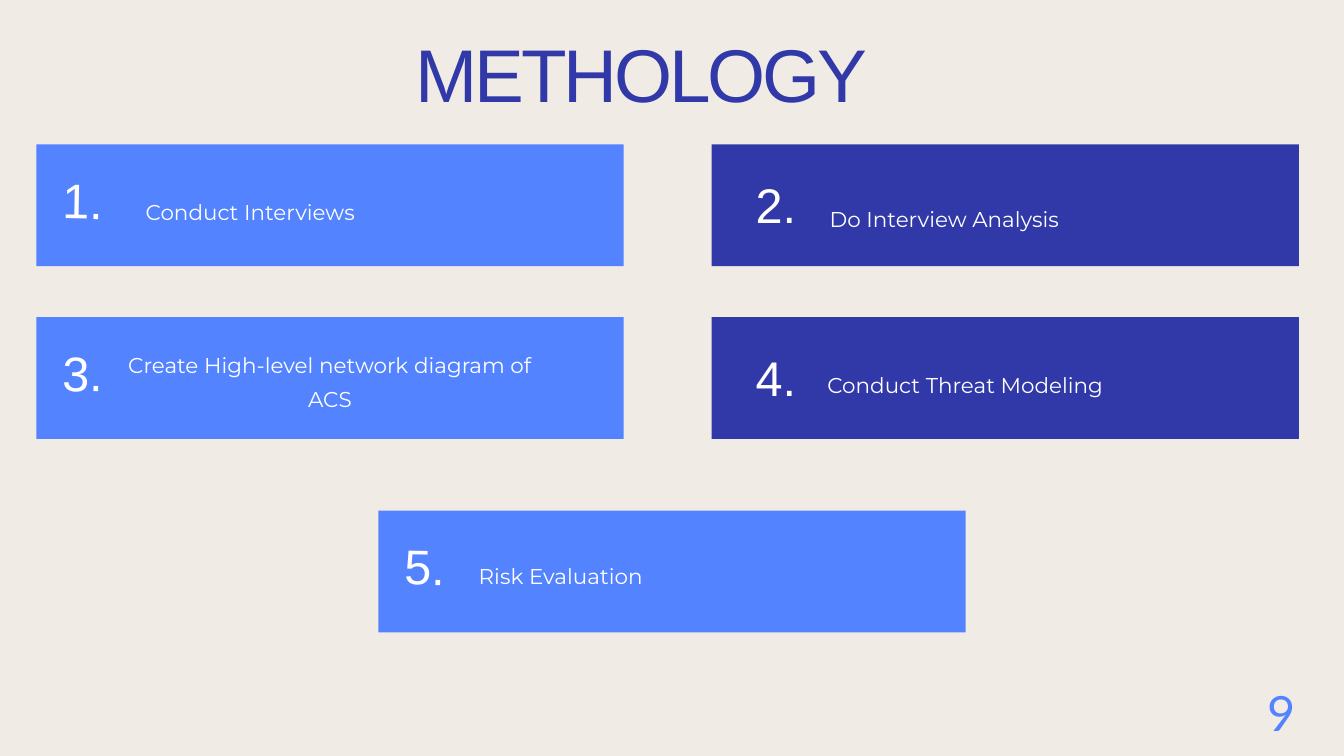
from dataclasses import dataclass

import pptx
import pptx.dml.color
import pptx.enum.shapes
import pptx.enum.text
import pptx.util


@dataclass(frozen=True)
class Theme:
    paper: str = "F1EBE5"
    light: str = "5383FF"
    dark: str = "3139A8"
    white: str = "FFFFFF"
    title: tuple = ("Arial", 80, 80)
    number: tuple = ("Arial", 52.1, 53.6)
    label: tuple = ("Montserrat", 23, 35.9)
    page: tuple = ("Lato", 52, 72.8)


class Deck:
    COLS, ROWS = 20, 11.25
    CARD_W, CARD_H = 8.74, 1.81

    def __init__(self, theme):
        self.theme = theme
        self.prs = pptx.Presentation()
        self.prs.slide_width = pptx.util.Inches(20)
        self.prs.slide_height = pptx.util.Inches(11.25)

    def slide(self):
        self.s = self.prs.slides.add_slide(self.prs.slide_layouts[6])
        self.fill(self.s.background.fill, self.theme.paper)

    def fill(self, fill, color):
        fill.solid()
        fill.fore_color.rgb = pptx.dml.color.RGBColor.from_string(color)

    def box(self, x, y, w, h):
        col = self.prs.slide_width / self.COLS
        row = self.prs.slide_height / self.ROWS
        return round(x * col), round(y * row), round(w * col), round(h * row)

    def text(self, text, x, y, w, h, style, color, rotation=0, spacing=None):
        font, size, leading = style
        sp = self.s.shapes.add_textbox(*self.box(x, y, w, h))
        sp.rotation = rotation
        tf = sp.text_frame
        p = tf.paragraphs[0]
        r = p.add_run()
        r.text = text
        formats = (
            (tf, {"word_wrap": True,
                  "auto_size": pptx.enum.text.MSO_AUTO_SIZE.SHAPE_TO_FIT_TEXT,
                  "margin_left": 0, "margin_top": 0,
                  "margin_right": 0, "margin_bottom": 0}),
            (p, {"alignment": pptx.enum.text.PP_ALIGN.CENTER,
                 "line_spacing": pptx.util.Pt(leading)}),
            (r.font, {"name": font, "size": pptx.util.Pt(size)}),
        )
        for target, values in formats:
            for name, value in values.items():
                setattr(target, name, value)
        self.fill(r.font.fill, color)
        if spacing is not None:
            r.font._element.set("spc", str(round(spacing * 100)))

    def rect(self, x, y, w, h, color):
        sp = self.s.shapes.add_shape(
            pptx.enum.shapes.MSO_SHAPE.RECTANGLE, *self.box(x, y, w, h))
        sp.shadow.inherit = False
        sp.line.fill.background()
        self.fill(sp.fill, color)

    def card(self, number, label, x, y, dark, dx, dy, w, h=0.44):
        t = self.theme
        self.rect(x, y, self.CARD_W, self.CARD_H, t.dark if dark else t.light)
        nx, ny, nw, rotation = (0.33, 0.58, 1.25, 0) if dark else (0.19, 0.51, 1, 1)
        self.text(f"{number}.", x + nx, y + ny, nw, 0.81, t.number, t.white, rotation)
        self.text(label, x + dx, y + dy, w, h, t.label, t.white)


def main():
    theme = Theme()
    deck = Deck(theme)
    deck.slide()
    deck.text("METHOLOGY", 2.25, 0.63, 14.59, 1.16, theme.title, theme.dark, spacing=-3.4)

    left, right, center = 0.54, 10.59, (deck.COLS - deck.CARD_W) / 2
    top, middle, bottom = 2.15, 4.72, 7.6
    steps = (
        ("Conduct Interviews", left, top, False, 1.08, 0.7, 4.21),
        ("Do Interview Analysis", right, top, True, 1.37, 0.8, 4.19),
        ("Create High-level network diagram of ACS", left, middle, False, 1.04, 0.41, 6.66, 0.93),
        ("Conduct Threat Modeling", right, middle, True, 1.4, 0.7, 4.75),
        ("Risk Evaluation", center, bottom, False, 1.2, 0.66, 3.03),
    )
    for number, step in enumerate(steps, 1):
        deck.card(number, *step)

    deck.text("9", 18.83, 10.02, 0.47, 0.97, theme.page, theme.light)
    deck.prs.save("out.pptx")


if __name__ == "__main__":
    main()
